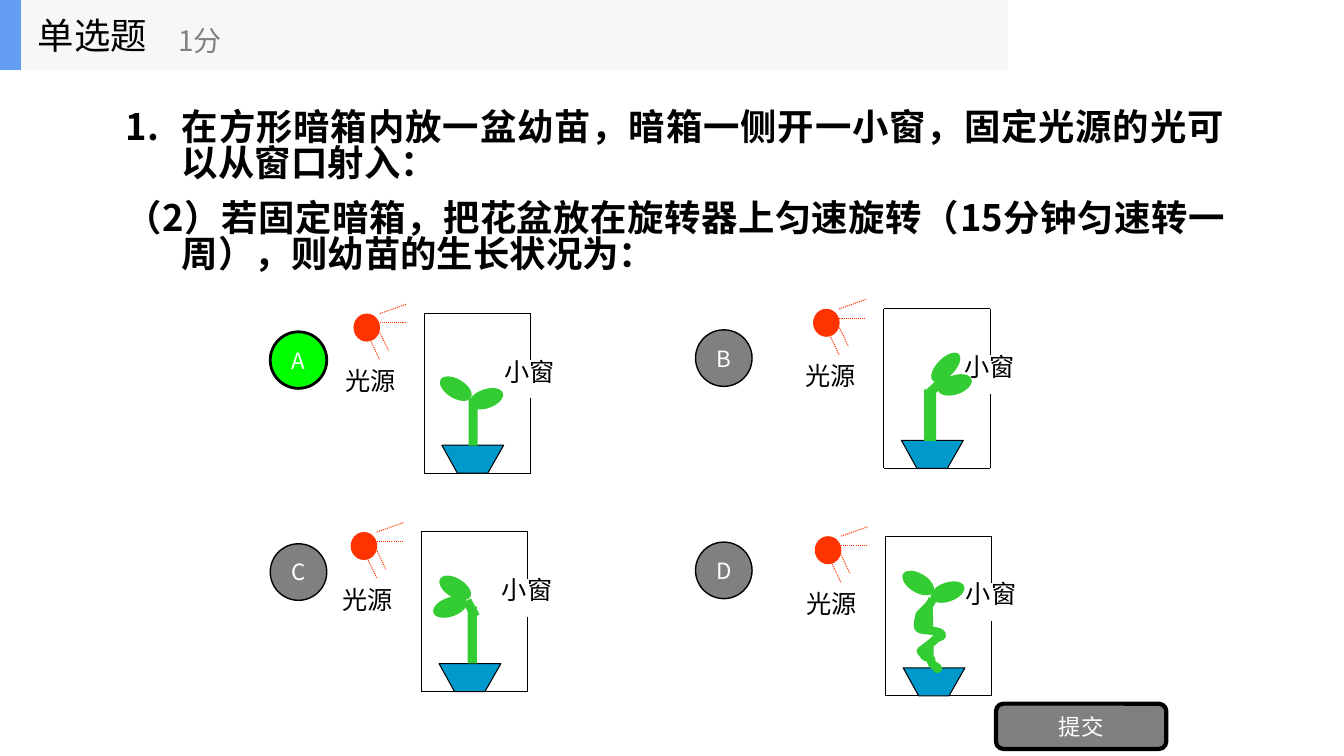
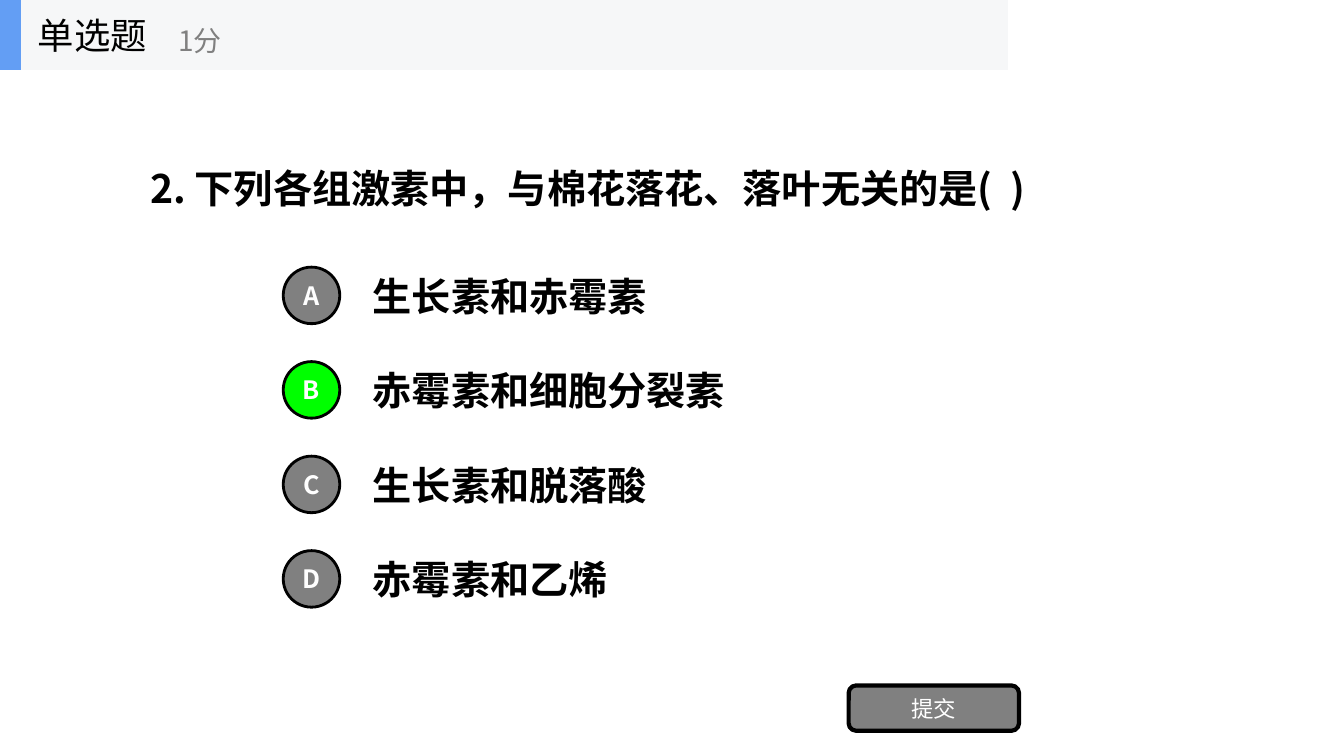
from dataclasses import dataclass
from typing import Any, Optional

from lxml import etree
from pptx import Presentation
from pptx.dml.color import RGBColor
from pptx.enum.dml import MSO_LINE
from pptx.enum.shapes import MSO_CONNECTOR, MSO_SHAPE
from pptx.enum.text import MSO_ANCHOR, MSO_AUTO_SIZE, PP_ALIGN
from pptx.oxml.ns import qn
from pptx.util import Pt

RECTANGLE = MSO_SHAPE.RECTANGLE
ROUNDED = MSO_SHAPE.ROUNDED_RECTANGLE
OVAL = MSO_SHAPE.OVAL
STRAIGHT = MSO_CONNECTOR.STRAIGHT
DOTTED = MSO_LINE.ROUND_DOT
MIDDLE = MSO_ANCHOR.MIDDLE
NO_FIT = MSO_AUTO_SIZE.NONE
LEFT, CENTER, JUSTIFY = PP_ALIGN.LEFT, PP_ALIGN.CENTER, PP_ALIGN.JUSTIFY

SANS, SERIF = "Noto Sans CJK SC", "Times New Roman"
BLACK, WHITE, GRAY = "000000", "FFFFFF", "808080"
CORRECT, BAND, ACCENT = "00FF00", "F6F7F8", "639EF4"
SUN, LEAF, POT = "FF3300", "33CC33", "0099CC"
TITLE_ONLY = 5
BADGE_SIZE = 40.4
HANGING = 40
CURVE_STEPS = 8

Point = tuple[float, float]


@dataclass(frozen=True)
class Box:
    left: float
    top: float
    width: float
    height: float

    def moved(self, x: float, y: float) -> "Box":
        return Box(self.left + x, self.top + y, self.width, self.height)


@dataclass(frozen=True)
class TextStyle:
    size: float
    color: str = BLACK
    bold: bool = False
    font: str = SANS
    align: Any = LEFT


@dataclass(frozen=True)
class PlantPiece:
    box: Box
    rotation: float = 0
    kind: Any = OVAL


@dataclass(frozen=True)
class Choice:
    letter: str
    badge: Point
    diagram: Point
    plant: list[PlantPiece]
    winding: bool = False
    correct: bool = False


def leaf(left: float, top: float, rotation: float) -> PlantPiece:
    return PlantPiece(Box(left, top, 25.2, 13.7), rotation)


def stem(left: float, top: float, width: float, height: float, rotation: float = 0) -> PlantPiece:
    return PlantPiece(Box(left, top, width, height), rotation, RECTANGLE)


SUN_RAYS = [
    ((-31.7, 0), (-12.8, -6.7)),
    ((-31.7, 6.7), (-12.8, 6.7)),
    ((-31.7, 13.5), (-25.3, 26.8)),
    ((-38, 20), (-31.7, 33.3)),
]
BOX_SIDES = [
    ((0, 0), (0, 114)),
    ((0, 0), (76, 0)),
    ((76, 0), (76, 33.3)),
    ((0, 114), (76, 114)),
    ((76, 60.5), (76, 114)),
]
POT_OUTLINE = [(12.6, 94), (23.7, 114), (45.4, 114), (56.8, 94)]
WINDING_START = (33.8, 44.6)
WINDING_CURVES = [
    ((31.7, 50.4), (28.1, 51.8), (24.5, 56.2)),
    ((21.6, 68.4), (23, 66.2), (34.6, 67.7)),
    ((36.7, 68.4), (39.6, 68.4), (40.3, 70.6)),
    ((40.3, 72), (37.4, 72), (36, 73.4)),
    ((33.1, 76.3), (25.2, 82.1), (25.2, 82.1)),
    ((26.6, 83.5), (27.4, 85), (28.1, 85.7)),
    ((29.5, 87.1), (31, 86.4), (32.4, 87.8)),
    ((33.1, 88.6), (32.4, 90.7), (33.8, 91.4)),
    ((34.6, 92.9), (36.7, 92.9), (37.4, 94.3)),
    ((38.2, 95), (36, 94.3), (34.6, 94.3)),
]
CHOICES = [
    Choice("A", (193, 237), (303, 224),
           [leaf(31.7, 54, -19.2), leaf(10, 46.8, 31.3), stem(31.7, 60.5, 6.5, 33.8)],
           correct=True),
    Choice("B", (496.8, 235.6), (631.3, 220.6),
           [leaf(38.2, 47.5, -19.2), PlantPiece(Box(31, 35.3, 26.6, 13), -45.5),
            stem(28.8, 57.6, 8.6, 36.7), stem(36.7, 43.9, 6.5, 18.7, 47.7)]),
    Choice("C", (193, 388.4), (301, 380),
           [leaf(7.9, 46.8, -19.2), leaf(11.5, 33.1, 31.3),
            stem(33.1, 53.3, 6.5, 40.6), stem(32.4, 48.2, 6.5, 13, -28.4)]),
    Choice("D", (496.8, 387.2), (632.5, 383),
           [leaf(31.7, 33.1, -19.2), leaf(10.8, 26.6, 31.3)], winding=True),
]
ANSWERS = ["生长素和赤霉素", "赤霉素和细胞分裂素", "生长素和脱落酸", "赤霉素和乙烯"]


def rgb(color: str) -> RGBColor:
    return RGBColor.from_string(color)


def add_run(paragraph: Any, text: str, style: TextStyle) -> None:
    paragraph.alignment = style.align
    run = paragraph.add_run()
    run.text = text
    run.font.size = Pt(style.size)
    run.font.bold = style.bold
    run.font.color.rgb = rgb(style.color)
    run.font.name = style.font
    east_asian = etree.SubElement(run._r.get_or_add_rPr(), qn("a:ea"))
    east_asian.set("typeface", SANS)


def prepare_frame(shape: Any, side_margin: float = 7.2) -> Any:
    frame = shape.text_frame
    frame.word_wrap = True
    frame.auto_size = NO_FIT
    frame.vertical_anchor = MIDDLE
    frame.margin_top = frame.margin_bottom = 0
    frame.margin_left = frame.margin_right = Pt(side_margin)
    return frame


def lengths(box: Box) -> list[Pt]:
    return [Pt(value) for value in (box.left, box.top, box.width, box.height)]


def paint(shape: Any, fill: str, line: Optional[str] = None, width: float = 0) -> None:
    shape.shadow.inherit = False
    shape.fill.solid()
    shape.fill.fore_color.rgb = rgb(fill)
    if line is None:
        shape.line.fill.background()
    else:
        shape.line.color.rgb = rgb(line)
        shape.line.width = Pt(width)


def add_shape(shapes: Any, kind: Any, box: Box, fill: str,
              line: Optional[str] = None, width: float = 0) -> Any:
    shape = shapes.add_shape(kind, *lengths(box))
    paint(shape, fill, line, width)
    return shape


def add_label(shapes: Any, box: Box, text: str, style: TextStyle) -> None:
    label = shapes.add_textbox(*lengths(box))
    add_run(prepare_frame(label).paragraphs[0], text, style)


def add_line(shapes: Any, start: Point, end: Point, color: str, dash: Any = None) -> None:
    connector = shapes.add_connector(STRAIGHT, *[Pt(value) for value in (*start, *end)])
    connector.line.color.rgb = rgb(color)
    connector.line.width = Pt(0.75)
    if dash is not None:
        connector.line.dash_style = dash
    etree.SubElement(connector._element.spPr, qn("a:effectLst"))


def add_outline(shapes: Any, points: list[Point], closed: bool) -> Any:
    corners = [(Pt(x), Pt(y)) for x, y in points]
    builder = shapes.build_freeform(*corners[0])
    builder.add_line_segments(corners[1:], close=closed)
    return builder.convert_to_shape()


def winding_points() -> list[Point]:
    points = [WINDING_START]
    for first, second, end in WINDING_CURVES:
        start = points[-1]
        for step in range(1, CURVE_STEPS + 1):
            t = step / CURVE_STEPS
            weights = ((1 - t) ** 3, 3 * t * (1 - t) ** 2, 3 * t * t * (1 - t), t ** 3)
            controls = (start, first, second, end)
            points.append((sum(w * p[0] for w, p in zip(weights, controls)),
                           sum(w * p[1] for w, p in zip(weights, controls))))
    return points


def draw_badge(slide: Any, letter: str, position: Point, style: TextStyle,
               correct: bool, line_width: float) -> None:
    badge = add_shape(slide.shapes, OVAL, Box(*position, BADGE_SIZE, BADGE_SIZE),
                      CORRECT if correct else GRAY, BLACK, line_width)
    add_run(prepare_frame(badge, 0).paragraphs[0], letter, style)


def draw_submit(slide: Any, left: float, top: float) -> None:
    button = add_shape(slide.shapes, ROUNDED, Box(left, top, 121.7, 32.4), GRAY, BLACK, 3)
    add_run(prepare_frame(button).paragraphs[0], "提交", TextStyle(16, WHITE, align=CENTER))


def draw_header(slide: Any) -> None:
    shapes = slide.shapes.add_group_shape().shapes
    add_shape(shapes, RECTANGLE, Box(0, 0, 720, 50), BAND)
    add_shape(shapes, RECTANGLE, Box(0, 0, 15, 50), ACCENT)
    add_label(shapes, Box(20, 0, 150, 50), "单选题", TextStyle(26))
    add_label(shapes, Box(120.3, 8.6, 180, 40.4), "1分", TextStyle(20, GRAY))


def draw_diagram(slide: Any, choice: Choice) -> None:
    shapes = slide.shapes.add_group_shape().shapes
    x, y = choice.diagram

    def place(points: Any) -> list[Point]:
        return [(x + left, y + top) for left, top in points]

    label_style = TextStyle(18, font=SERIF)
    add_label(shapes, Box(50.4, 26.7, 57, 29).moved(x, y), "小窗", label_style)
    for side in BOX_SIDES:
        add_line(shapes, *place(side), BLACK)
    add_shape(shapes, OVAL, Box(-50.5, 0, 19, 20).moved(x, y), SUN)
    for ray in SUN_RAYS:
        add_line(shapes, *place(ray), SUN, DOTTED)
    add_label(shapes, Box(-63.3, 33.3, 57, 29).moved(x, y), "光源", label_style)
    paint(add_outline(shapes, place(POT_OUTLINE), True), POT, BLACK, 0.75)
    for piece in choice.plant:
        shape = add_shape(shapes, piece.kind, piece.box.moved(x, y), LEAF)
        shape.rotation = piece.rotation
    if choice.winding:
        paint(add_outline(shapes, place(winding_points()), False), LEAF, LEAF, 6)


def new_slide(presentation: Any, title_box: Box) -> tuple[Any, Any]:
    slide = presentation.slides.add_slide(presentation.slide_layouts[TITLE_ONLY])
    title = slide.shapes.title
    title.left, title.top, title.width, title.height = lengths(title_box)
    return slide, prepare_frame(title)


def build_plant_slide(presentation: Any) -> None:
    slide, frame = new_slide(presentation, Box(82.8, 54, 799.2, 168.5))
    style = TextStyle(26, bold=True, align=JUSTIFY)
    setup = frame.paragraphs[0]
    question = frame.add_paragraph()
    for paragraph in (setup, question):
        properties = paragraph._p.get_or_add_pPr()
        properties.set("marL", str(Pt(HANGING)))
        properties.set("indent", str(-Pt(HANGING)))
        paragraph.line_spacing = 0.82
    numbering = etree.SubElement(setup._p.get_or_add_pPr(), qn("a:buAutoNum"))
    numbering.set("type", "arabicPeriod")
    question.space_before = Pt(14)
    add_run(setup, "在方形暗箱内放一盆幼苗，暗箱一侧开一小窗，固定光源的光可以从窗口射入：", style)
    add_run(question, "（2）若固定暗箱，把花盆放在旋转器上匀速旋转（15分钟匀速转一周），则幼苗的生长状况为：", style)
    for choice in CHOICES:
        draw_badge(slide, choice.letter, choice.badge, TextStyle(16, WHITE, align=CENTER),
                   choice.correct, 2 if choice.correct else 1)
    draw_submit(slide, 711.4, 502.6)
    for choice in CHOICES:
        draw_diagram(slide, choice)
    draw_header(slide)


def build_hormone_slide(presentation: Any) -> None:
    slide, frame = new_slide(presentation, Box(100, 113.8, 698, 41))
    style = TextStyle(28, bold=True)
    add_run(frame.paragraphs[0], "2. 下列各组激素中，与棉花落花、落叶无关的是(  )", style)
    for index, (letter, answer) in enumerate(zip("ABCD", ANSWERS)):
        top = 190.8 + 67.5 * index
        add_label(slide.shapes, Box(259.2, top, 364, 41), answer, style)
        draw_badge(slide, letter, (202.3, top), TextStyle(18, WHITE, True, align=CENTER),
                   letter == "B", 2)
    draw_submit(slide, 606.2, 489.6)
    draw_header(slide)


def main() -> None:
    presentation = Presentation()
    presentation.slide_width, presentation.slide_height = Pt(960), Pt(540)
    build_plant_slide(presentation)
    build_hormone_slide(presentation)
    presentation.save("out.pptx")


if __name__ == "__main__":
    main()
